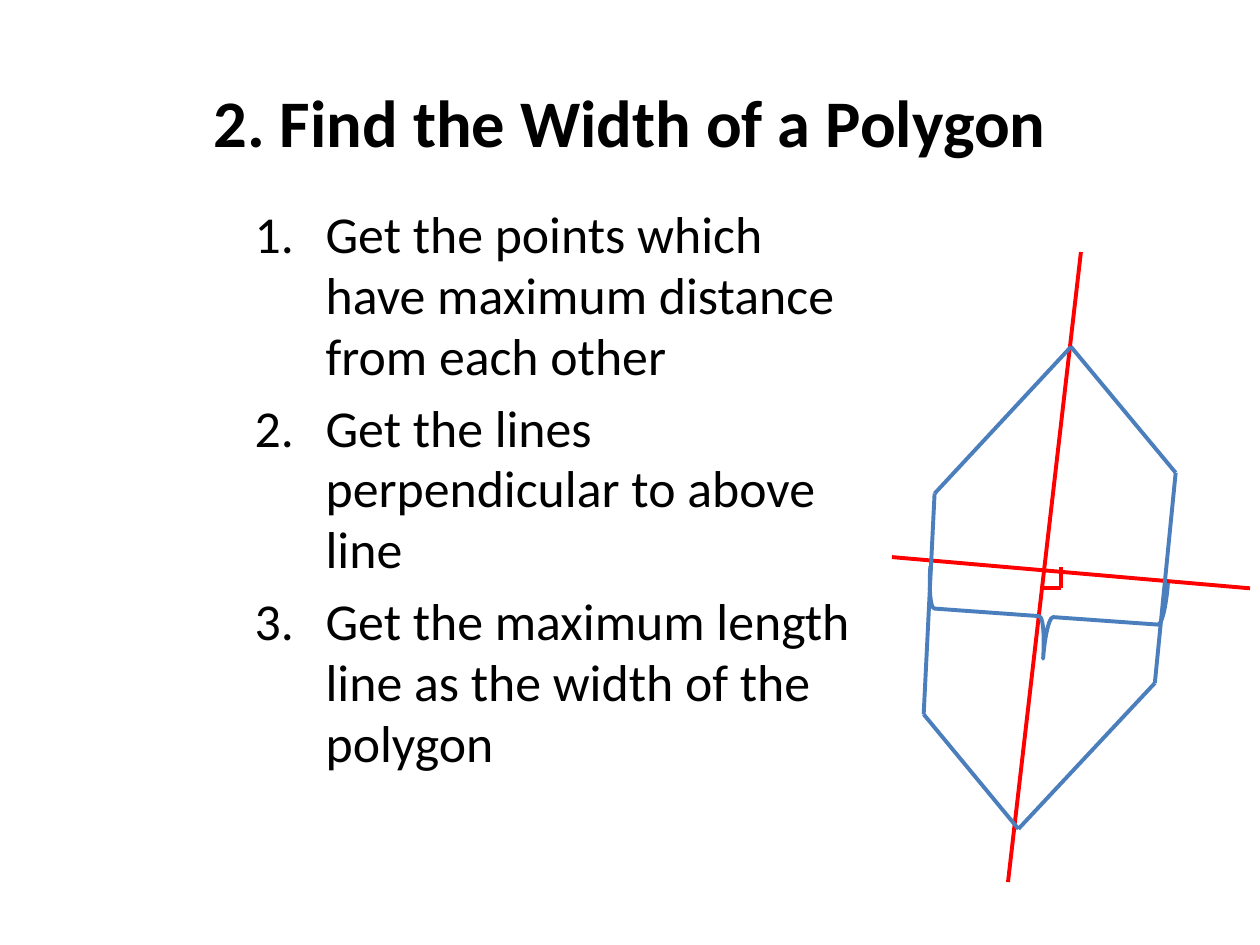
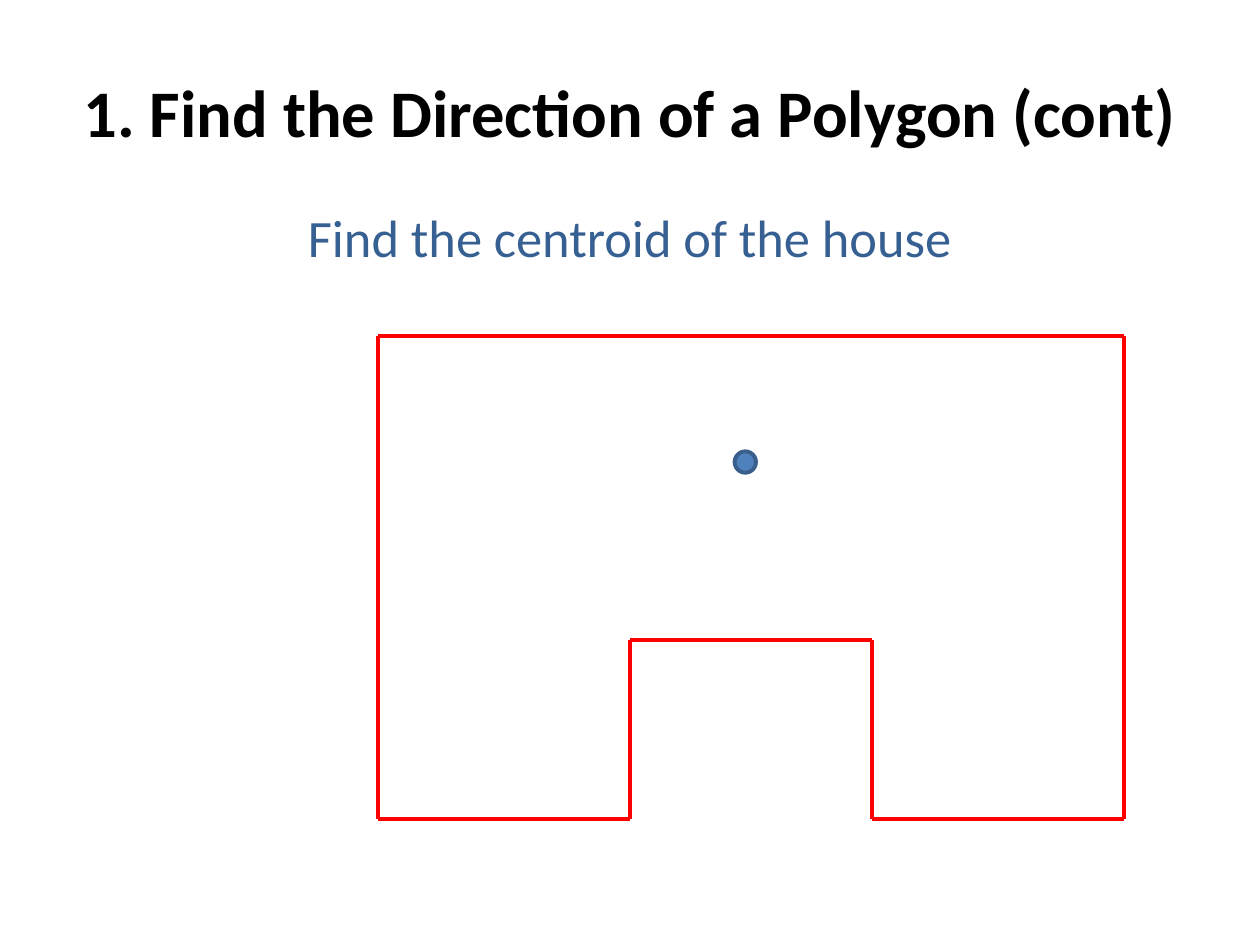
from dataclasses import dataclass
from itertools import pairwise

from lxml import etree
from pptx import Presentation
from pptx.dml.color import RGBColor
from pptx.enum.shapes import MSO_CONNECTOR, MSO_SHAPE
from pptx.enum.text import MSO_ANCHOR, MSO_AUTO_SIZE, PP_ALIGN
from pptx.oxml.ns import qn
from pptx.util import Cm, Pt

STRAIGHT = MSO_CONNECTOR.STRAIGHT
LEFT_BRACE = MSO_SHAPE.LEFT_BRACE
DOT = MSO_SHAPE.FLOWCHART_CONNECTOR
LEFT, CENTER = PP_ALIGN.LEFT, PP_ALIGN.CENTER
TOP, MIDDLE = MSO_ANCHOR.TOP, MSO_ANCHOR.MIDDLE
NO_AUTOFIT = MSO_AUTO_SIZE.NONE


@dataclass(frozen=True)
class Theme:
    """Colours, font and sizes shared by the slides."""
    font: str = "Calibri"
    text: RGBColor = RGBColor(0x00, 0x00, 0x00)
    subtitle: RGBColor = RGBColor(0x37, 0x60, 0x92)
    red: RGBColor = RGBColor(0xFF, 0x00, 0x00)
    blue: RGBColor = RGBColor(0x4B, 0x7E, 0xBC)
    dot_fill: RGBColor = RGBColor(0x4F, 0x81, 0xBD)
    dot_line: RGBColor = RGBColor(0x3A, 0x5F, 0x8C)
    title_size: float = 38
    list_size: float = 29.6
    subtitle_size: float = 30
    line_width: float = 2.25


theme = Theme()


def fill_placeholder(placeholder, box, lines, size, color, bold=False,
                     alignment=CENTER, anchor=MIDDLE):
    """Place a placeholder at box (cm) and write its formatted lines."""
    (placeholder.left, placeholder.top,
     placeholder.width, placeholder.height) = map(Cm, box)
    frame = placeholder.text_frame
    frame.text = "\n".join(lines)
    frame.auto_size = NO_AUTOFIT
    frame.vertical_anchor = anchor
    for paragraph in frame.paragraphs:
        paragraph.alignment = alignment
        for run in paragraph.runs:
            run.font.name = theme.font
            run.font.size = Pt(size)
            run.font.bold = bold
            run.font.color.rgb = color


def draw_path(shapes, points, color):
    """Join successive points (cm) with straight lines."""
    for start, end in pairwise(points):
        line = shapes.add_connector(STRAIGHT, *map(Cm, start + end))
        line.line.color.rgb = color
        line.line.width = Pt(theme.line_width)
        etree.SubElement(line._element.spPr, qn("a:effectLst"))


presentation = Presentation()
presentation.slide_width = Cm(25.4)
presentation.slide_height = Cm(19.05)
layout = presentation.slide_layouts[1]

# Slide 1: width of a polygon
slide = presentation.slides.add_slide(layout)
fill_placeholder(slide.shapes.title, (1.27, 0.84, 22.86, 3.18),
                 ["2. Find the Width of a Polygon"],
                 theme.title_size, theme.text, bold=True)

steps = [
    "Get the points which have maximum distance from each other",
    "Get the lines perpendicular to above line",
    "Get the maximum length line as the width of the polygon",
]
body = slide.placeholders[1]
fill_placeholder(body, (4.88, 4.01, 12.7, 12.57), steps,
                 theme.list_size, theme.text, alignment=LEFT, anchor=TOP)
for paragraph in body.text_frame.paragraphs:
    paragraph.line_spacing = 0.98
    properties = paragraph._p.get_or_add_pPr()
    properties.set("marL", str(Cm(1.43)))
    properties.set("indent", str(-Cm(1.43)))
    etree.SubElement(properties, qn("a:buAutoNum"), type="arabicPeriod")

long_axis = [(21.79, 5.08), (20.32, 17.78)]
cross_axis = [(25.2, 11.86), (17.98, 11.23)]
polygon = [(21.59, 6.99), (23.7, 9.53), (23.28, 13.77),
           (20.53, 16.71), (18.62, 14.4), (18.84, 9.95)]
right_angle = [(21.38, 11.43), (21.38, 11.86), (20.96, 11.86)]

diagram = slide.shapes.add_group_shape().shapes
draw_path(diagram, long_axis, theme.red)
draw_path(diagram, cross_axis, theme.red)
draw_path(diagram, polygon + polygon[:1], theme.blue)
brace = diagram.add_shape(LEFT_BRACE, Cm(20.24), Cm(10.03), Cm(1.7), Cm(4.8))
brace.rotation = 274.1
brace.shadow.inherit = False
brace.fill.background()
brace.line.color.rgb = theme.blue
brace.line.width = Pt(theme.line_width)
draw_path(diagram, right_angle, theme.red)

# Slide 2: centroid of the house
slide = presentation.slides.add_slide(layout)
fill_placeholder(slide.shapes.title, (1.27, 0.64, 22.86, 3.18),
                 ["1. Find the Direction of a Polygon (cont)"],
                 theme.title_size, theme.text, bold=True)

subtitle = slide.placeholders[1]
fill_placeholder(subtitle, (1.27, 3.18, 22.86, 3.18),
                 ["Find the centroid of the house"],
                 theme.subtitle_size, theme.subtitle)
paragraph = subtitle.text_frame.paragraphs[0]
paragraph.space_before = Pt(0)
properties = paragraph._p.get_or_add_pPr()
properties.set("marL", "0")
properties.set("indent", "0")
etree.SubElement(properties, qn("a:buNone"))

left, door_left, door_right, right = 7.62, 12.7, 17.58, 22.66
roof, door_top, ground = 6.77, 12.91, 16.51
house = [(left, roof), (right, roof), (right, ground), (door_right, ground),
         (door_right, door_top), (door_left, door_top), (door_left, ground),
         (left, ground)]

diagram = slide.shapes.add_group_shape().shapes
draw_path(diagram, house + house[:1], theme.red)
centroid = diagram.add_shape(DOT, Cm(14.81), Cm(9.1), Cm(0.43), Cm(0.43))
centroid.shadow.inherit = False
centroid.fill.solid()
centroid.fill.fore_color.rgb = theme.dot_fill
centroid.line.color.rgb = theme.dot_line
centroid.line.width = Pt(theme.line_width)

presentation.save("out.pptx")
